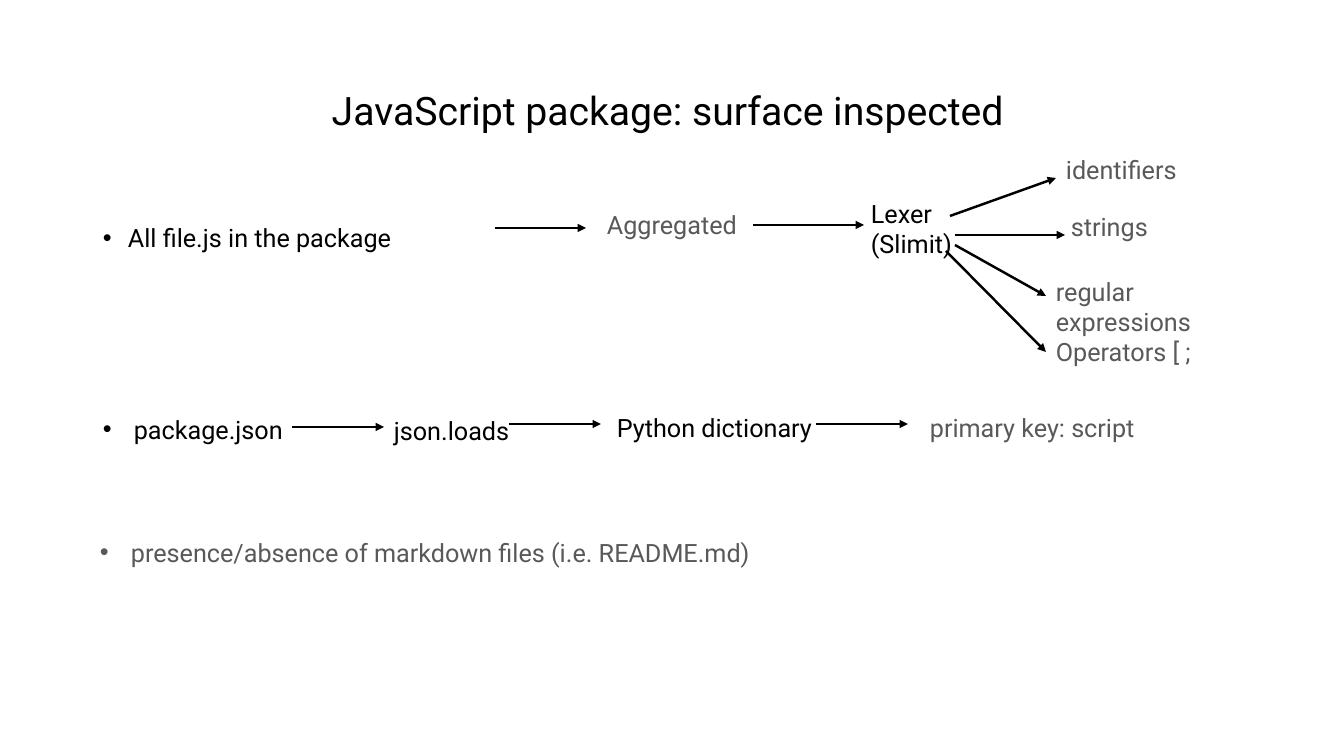
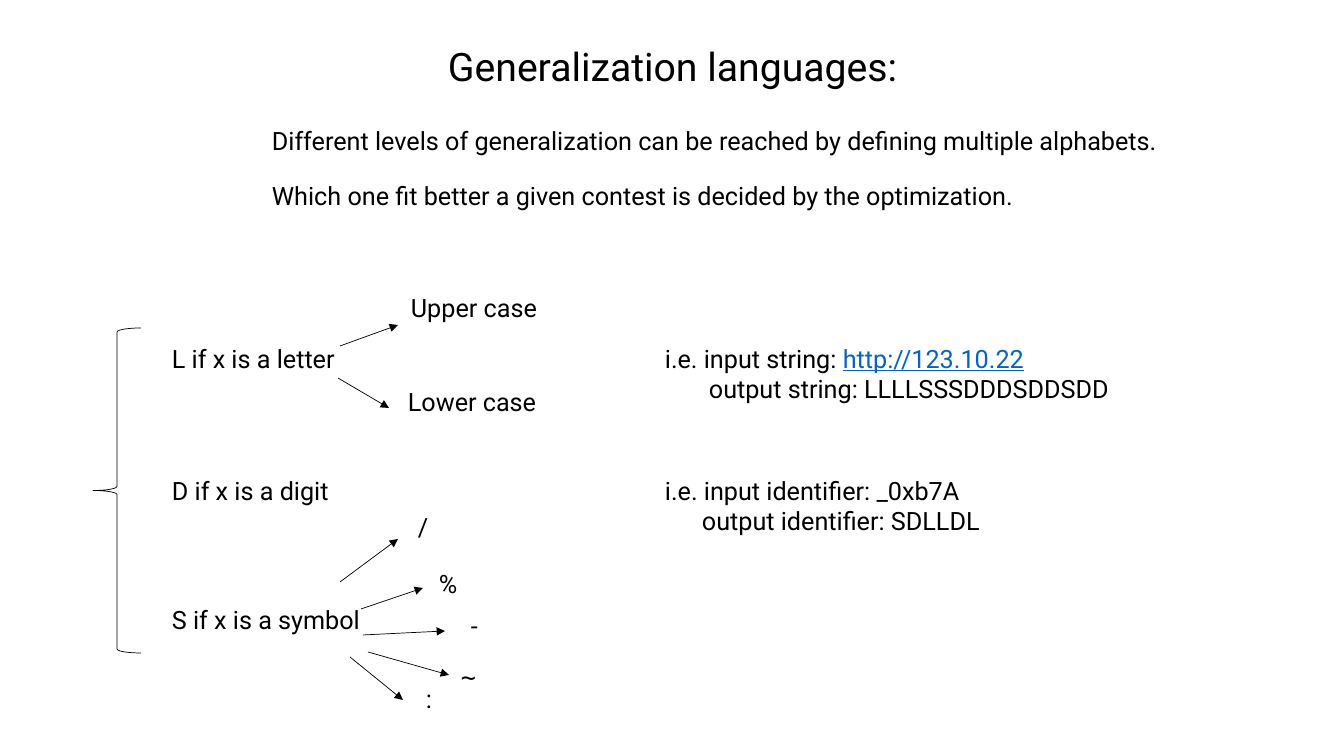
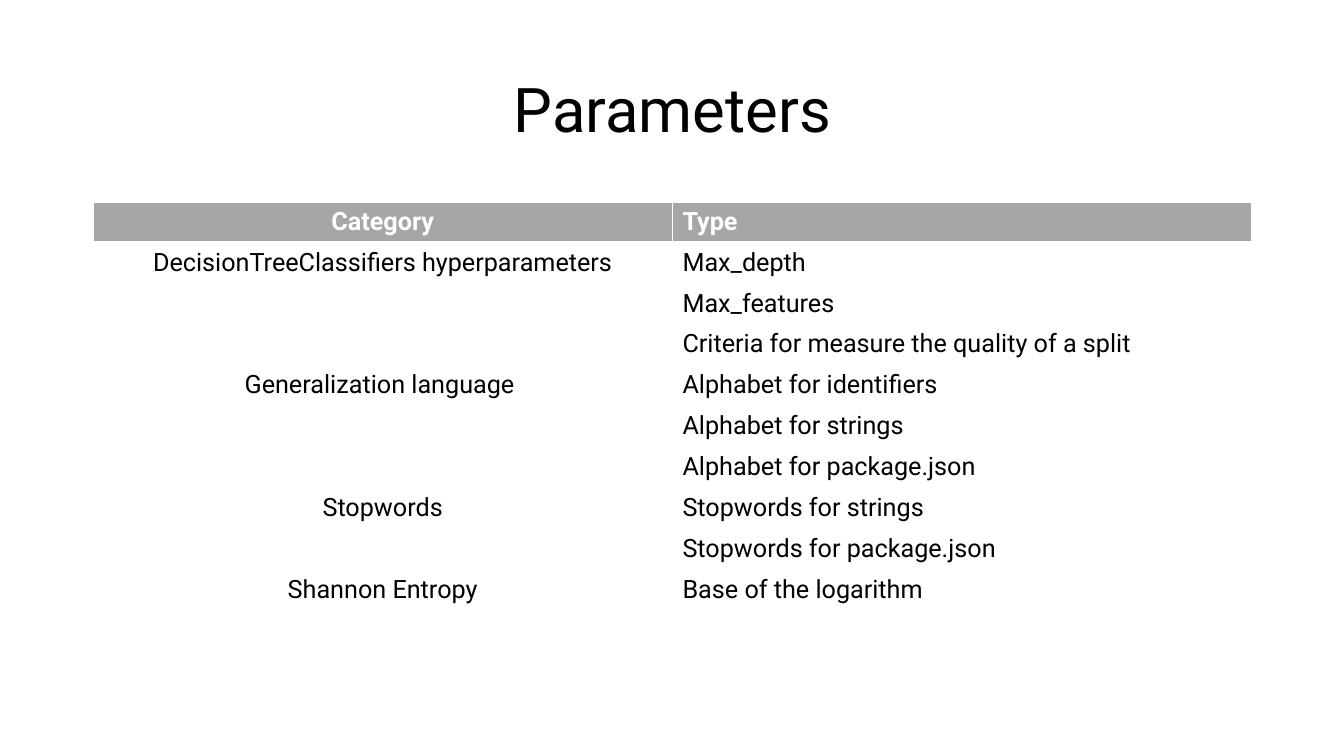
from pptx import Presentation
from pptx.dml.color import RGBColor
from pptx.enum.shapes import MSO_CONNECTOR as Connector, MSO_SHAPE as Shape
from pptx.enum.text import MSO_ANCHOR as Anchor, PP_ALIGN as Align
from pptx.oxml.ns import qn
from pptx.util import Pt
from lxml.etree import SubElement

COLORS = {"text": "000000", "muted": "595959", "link": "0563C1",
          "header": "A6A6A6", "paper": "FFFFFF"}
FONT = "Roboto"
BODY_SIZE = 18
LINE = 40        # height of a one-line label
TWO_LINES = 72
TITLE_BOX = (93, 40, 1159, 146)

presentation = Presentation()
SCALE = 12192000 / 1344
presentation.slide_width = round(1344 * SCALE)
presentation.slide_height = round(756 * SCALE)


def px(value):
    return round(value * SCALE)


def rgb(name):
    return RGBColor.from_string(COLORS[name])


# ---- Shared parts ----

def new_slide(title, size=28, top=TITLE_BOX[1]):
    slide = presentation.slides.add_slide(presentation.slide_layouts[6])
    left, _, width, height = TITLE_BOX
    frame = add_label(slide, (left, top), 0, 0, width, title, height, size=size)
    frame.vertical_anchor = Anchor.MIDDLE
    frame.paragraphs[0].alignment = Align.CENTER
    frame.paragraphs[0].line_spacing = 0.9
    return slide


def add_run(paragraph, text, color="text", size=BODY_SIZE, bold=False, font=FONT):
    run = paragraph.add_run()
    run.text = text
    run.font.name = font
    run.font.size = Pt(size)
    run.font.bold = bold
    run.font.color.rgb = rgb(color)
    return run


def add_frame(slide, box, x, y, width, height=LINE):
    """Empty wrapping text frame, offset from the region's corner."""
    shape = slide.shapes.add_textbox(px(box[0] + x), px(box[1] + y),
                                     px(width), px(height))
    shape.text_frame.word_wrap = True
    return shape.text_frame


def add_label(slide, box, x, y, width, text, height=LINE, **style):
    frame = add_frame(slide, box, x, y, width, height)
    for index, line in enumerate(text.split("\n")):
        paragraph = frame.add_paragraph() if index else frame.paragraphs[0]
        add_run(paragraph, line, **style)
    return frame


def add_bullet(frame, indent):
    properties = frame.paragraphs[0]._p.get_or_add_pPr()
    properties.set("marL", str(px(indent)))
    properties.set("indent", str(-px(indent)))
    SubElement(properties, qn("a:buFont")).set("typeface", "Arial")
    SubElement(properties, qn("a:buChar")).set("char", "\u2022")


def add_arrows(slide, box, ends, weight):
    left, top = box[:2]
    for x1, y1, x2, y2 in ends:
        arrow = slide.shapes.add_connector(
            Connector.STRAIGHT, px(left + x1), px(top + y1),
            px(left + x2), px(top + y2))
        arrow.line.color.rgb = rgb("text")
        arrow.line.width = Pt(weight)
        SubElement(arrow.line._get_or_add_ln(), qn("a:tailEnd")).set("type", "triangle")
        SubElement(arrow._element.spPr, qn("a:effectLst"))


# ---- Slide 1: inspected surface ----

def add_script_flow(slide, box):
    files = add_label(slide, box, 0, 72, 448, "All file.js in the package", 65)
    files.paragraphs[0].line_spacing = 0.9
    add_bullet(files, 25)
    add_label(slide, box, 504, 55, 181, "Aggregated", color="muted")
    add_label(slide, box, 768, 44, 112, "Lexer\n(Slimit)", TWO_LINES)
    for x, y, width, height, text in [
            (963, 0, 142, LINE, "identifiers"),
            (968, 57, 165, LINE, "strings"),
            (953, 122, 230, TWO_LINES, "regular expressions"),
            (953, 182, 239, LINE, "Operators [ ;")]:
        add_label(slide, box, x, y, width, text, height, color="muted")
    add_arrows(slide, box, [
        (402, 79, 493, 79), (660, 76, 771, 76), (857, 67, 963, 29),
        (862, 86, 972, 86), (862, 96, 953, 147), (853, 102, 953, 203)], 1.75)


def add_json_flow(slide, box):
    add_bullet(add_label(slide, box, 0, 2, 205, "package.json", 102), 31)
    add_label(slide, box, 291, 3, 145, "json.loads")
    add_label(slide, box, 514, 0, 219, "Python dictionary")
    add_label(slide, box, 827, 0, 239, "primary key: script", color="muted")
    add_arrows(slide, box, [(x, y, x + 92, y) for x, y in
                            [(199, 20), (416, 17), (723, 17)]], 1.75)


def add_markdown_note(slide, box):
    add_bullet(add_label(slide, box, 0, 0, box[2],
                         "presence/absence of markdown files (i.e. README.md)",
                         box[3], color="muted"), 31)


# ---- Slide 2: generalization languages ----

def add_introduction(slide, box):
    add_label(slide, box, 0, 0, box[2], "Different levels of generalization can be "
              "reached by defining multiple alphabets.")
    add_label(slide, box, 0, 55, 776, "Which one fit better a given contest is "
              "decided by the optimization.")


def add_alphabet(slide, box):
    left, top = box[:2]
    brace = slide.shapes.add_shape(Shape.LEFT_BRACE, px(left), px(top + 41),
                                   px(48), px(325))
    brace.shadow.inherit = False
    brace.fill.background()
    brace.line.color.rgb = rgb("text")
    brace.line.width = Pt(0.5)
    for x, y, width, text in [
            (69, 51, 192, "L if x is a letter"),
            (69, 183, 192, "D if x is a digit"),
            (69, 312, 223, "S if x is a symbol"),
            (308, 0, 154, "Upper case"), (305, 94, 156, "Lower case"),
            (315, 219, 31, "/"), (336, 276, 48, "%"),
            (368, 318, 48, "-"), (323, 391, 27, ":")]:
        add_label(slide, box, x, y, width, text)
    add_label(slide, box, 358, 369, 34, "~", TWO_LINES, font="DejaVu Sans Mono")
    letter_arrows = [(247, 59, 305, 38), (245, 91, 296, 121)]
    symbol_arrows = [(247, 295, 305, 252), (268, 322, 330, 301),
                     (270, 348, 352, 344), (275, 365, 356, 388),
                     (257, 370, 310, 413)]
    add_arrows(slide, box, letter_arrows + symbol_arrows, 0.5)


def add_examples(slide, box):
    for y, width, height, kind, value, value_color, result, indent in [
            (0, 529, TWO_LINES, "string", "http://123.10.22", "link",
             "LLLLSSSDDDSDDSDD", 44),
            (132, 410, 102, "identifier", "_0xb7A", "text", "SDLLDL", 37)]:
        frame = add_frame(slide, box, 0, y, width, height)
        add_run(frame.paragraphs[0], f"i.e. input {kind}: ")
        run = add_run(frame.paragraphs[0], value, value_color)
        run.font.underline = value_color == "link"
        output = frame.add_paragraph()
        output._p.get_or_add_pPr().set("marL", str(px(indent)))
        add_run(output, f"output {kind}: {result}")


# ---- Slide 3: parameters ----

def add_border(cell, side, weight):
    border = SubElement(cell._tc.get_or_add_tcPr(), qn(f"a:ln{side}"))
    border.set("w", str(Pt(weight)))
    fill = SubElement(border, qn("a:solidFill"))
    SubElement(fill, qn("a:srgbClr")).set("val", COLORS["paper"])


def style_cell(cell, header, below_header):
    for side in "LRTB":
        thick = (header and side == "B") or (below_header and side == "T")
        add_border(cell, side, 3 if thick else 1)
    cell.fill.solid()
    cell.fill.fore_color.rgb = rgb("header" if header else "paper")


def add_parameter_table(slide, box, groups):
    left, top, width, height = box
    rows = 1 + sum(len(types) for _, types in groups)
    table = slide.shapes.add_table(rows, 2, px(left), px(top),
                                   px(width), px(height)).table
    for column in table.columns:
        column.width = px(width / 2)
    for index, row in enumerate(table.rows):
        row.height = px(height / rows)
        for cell in row.cells:
            style_cell(cell, index == 0, index == 1)

    def write(row, column, text):
        paragraph = table.cell(row, column).text_frame.paragraphs[0]
        paragraph.alignment = Align.LEFT if column else Align.CENTER
        add_run(paragraph, text, "text" if row else "paper", bold=row == 0)

    write(0, 0, "Category")
    write(0, 1, "Type")
    first = 1
    for category, types in groups:
        write(first, 0, category)
        for offset, text in enumerate(types):
            write(first + offset, 1, text)
        last = first + len(types) - 1
        if last > first:
            table.cell(first, 0).merge(table.cell(last, 0))
        first = last + 1


# ---- Build ----

surface = new_slide("JavaScript package: surface inspected ")
add_script_flow(surface, (93, 149, 1192, 222))
add_json_flow(surface, (93, 407, 1066, 104))
add_markdown_note(surface, (90, 532, 740, 72))

languages = new_slide("Generalization languages:", top=-4)
add_introduction(languages, (262, 120, 916, 95))
add_alphabet(languages, (93, 287, 462, 441))
add_examples(languages, (655, 338, 529, 234))

parameters = new_slide("Parameters", size=44)
add_parameter_table(parameters, (93, 202, 1159, 409), [
    ("DecisionTreeClassifiers hyperparameters",
     ["Max_depth", "Max_features", "Criteria for measure the quality of a split"]),
    ("Generalization language ",
     ["Alphabet for identifiers", "Alphabet for strings",
      "Alphabet for package.json"]),
    ("Stopwords", ["Stopwords for strings", "Stopwords for package.json"]),
    ("Shannon Entropy", ["Base of the logarithm"]),
])

presentation.save("out.pptx")
